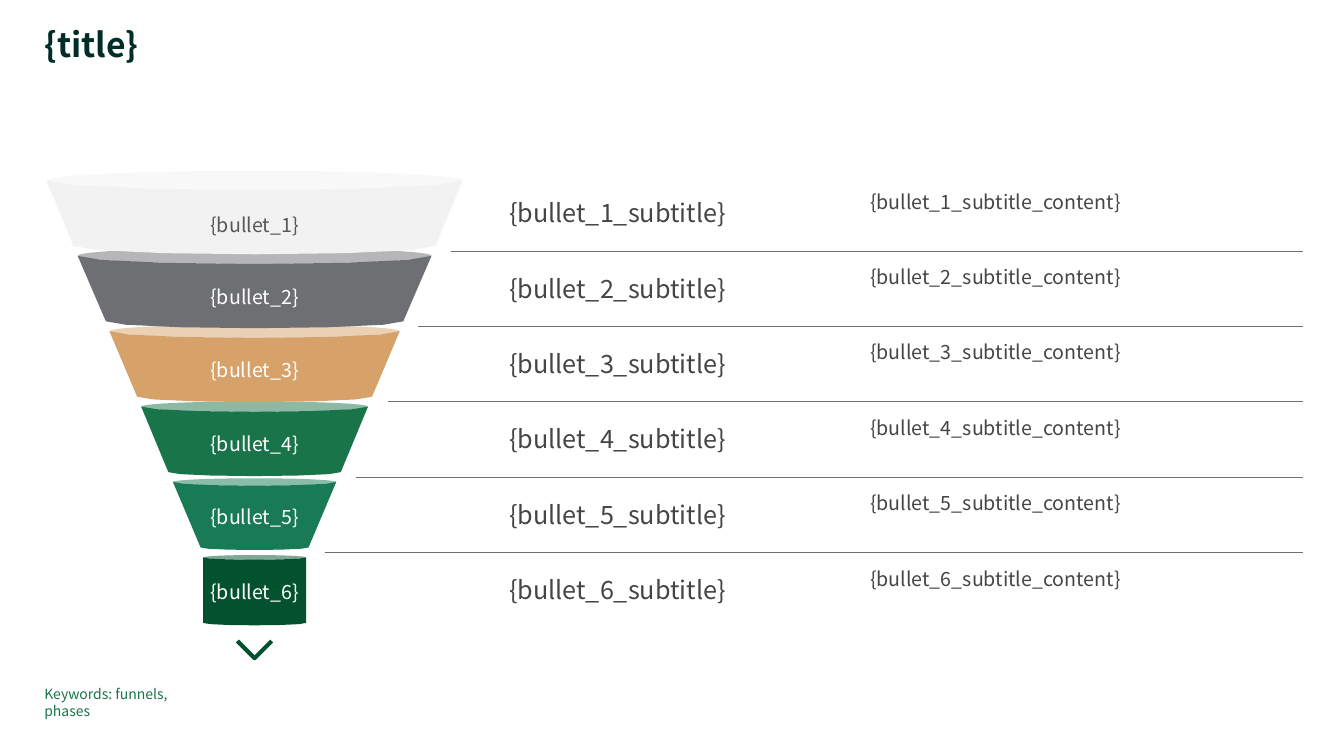
import math

from pptx import Presentation
from pptx import util as u
from pptx.dml.color import RGBColor
from pptx.enum import shapes, text
from pptx.oxml.ns import qn
from lxml import etree

PX = u.Inches(1) // 100
FONT = "Noto Sans CJK JP"
COLORS = {
    "title": "002D28", "body": "454545", "muted": "575757", "white": "FFFFFF",
    "rule": "6E6F73", "note": "1A7449", "arrow": "03522D",
}
ROW_PITCH = 74.8
RIM_RATIO = 0.023  # half the rim height, per unit of width
LAYER_HEIGHT = 65

# Per layer: top width, bottom width, label top, fill, label colour
LAYERS = [
    (413, 359, 32, "F2F2F2", "muted"),
    (351, 295, 103, "6E6F73", "white"),
    (288, 233, 176, "D6A26A", "white"),
    (225, 171, 249, "1A7449", "white"),
    (162, 107, 322, "197A56", "white"),
    (102, 102, 396, "03522D", "white"),
]
RULE_STARTS = [447, 415, 385, 353, 322]


def px(length):
    return int(length * PX)


def rgb(name):
    return RGBColor.from_string(COLORS.get(name, name))


def row_offset(index):
    return ROW_PITCH * index


def add_text(slide, box, words, size, color, bold=False, middle=False, center=False, spacing=None):
    shape = slide.shapes.add_textbox(*map(px, box))
    frame = shape.text_frame
    frame.word_wrap = True
    frame.margin_left = frame.margin_right = frame.margin_top = frame.margin_bottom = 0
    frame.vertical_anchor = text.MSO_ANCHOR.MIDDLE if middle else text.MSO_ANCHOR.TOP
    paragraph = frame.paragraphs[0]
    paragraph.alignment = text.PP_ALIGN.CENTER if center else text.PP_ALIGN.LEFT
    if spacing:
        paragraph.line_spacing = spacing
    run = paragraph.add_run()
    run.text = words
    run.font.name = FONT
    run.font.size = u.Pt(size)
    run.font.bold = bold
    run.font.color.rgb = rgb(color)


def paint(shape, color, alpha=None):
    shape.shadow.inherit = False
    shape.line.fill.background()
    shape.fill.solid()
    shape.fill.fore_color.rgb = rgb(color)
    if alpha:
        value = shape.fill._xPr.find(qn("a:solidFill"))[0]
        etree.SubElement(value, qn("a:alpha"), val=str(alpha * 1000))


def lower_arc(center_x, y, width, steps=6):
    """Points of the lower half of an ellipse, from right to left."""
    angles = [math.pi * step / steps for step in range(steps + 1)]
    return [(px(center_x + width / 2 * math.cos(angle)),
             px(y + width * RIM_RATIO * math.sin(angle))) for angle in angles]


def add_layer(slide, center_x, y, top_width, bottom_width, color):
    group = slide.shapes.add_group_shape()
    # Side wall between the front of the rim and the curved base
    rim = lower_arc(center_x, y, top_width)
    base = lower_arc(center_x, y + LAYER_HEIGHT, bottom_width)
    builder = group.shapes.build_freeform(*rim[0], scale=1.0)
    builder.add_line_segments(base + rim[:0:-1], close=True)
    paint(builder.convert_to_shape(), color)
    # Rim
    half = top_width * RIM_RATIO
    lid = group.shapes.add_shape(
        shapes.MSO_SHAPE.OVAL, px(center_x - top_width / 2), px(y - half),
        px(top_width), px(2 * half))
    paint(lid, color, alpha=50)


def add_funnel(slide, left, top, width):
    center_x = left + width / 2
    # Layers, from the bottom up
    for index, (top_width, bottom_width, _, color, _) in reversed(list(enumerate(LAYERS))):
        add_layer(slide, center_x, top + row_offset(index), top_width, bottom_width, color)
    # Labels
    for number, (_, bottom_width, label_top, _, color) in enumerate(LAYERS, 1):
        box = (center_x - bottom_width / 2, top + label_top, bottom_width, 24)
        add_text(slide, box, f"{{bullet_{number}}}", 14, color, middle=True, center=True)
    # Chevron below the spout
    chevron_top = top + 457
    builder = slide.shapes.build_freeform(px(center_x - 17), px(chevron_top), scale=1.0)
    builder.add_line_segments([(px(center_x), px(chevron_top + 17)),
                               (px(center_x + 17), px(chevron_top))], close=False)
    chevron = builder.convert_to_shape()
    chevron.shadow.inherit = False
    chevron.fill.background()
    chevron.line.color.rgb = rgb("arrow")
    chevron.line.width = u.Pt(3)


def add_details(slide, left, top, width):
    right = left + width
    for index in range(len(LAYERS)):
        y = top + row_offset(index)
        name = f"bullet_{index + 1}_subtitle"
        add_text(slide, (left, y, 314, 62), f"{{{name}}}", 18, "body", middle=True)
        add_text(slide, (left + 358, y + 8, 427, 24), f"{{{name}_content}}", 14, "body")
    # Rules between the rows
    for index, start in enumerate(RULE_STARTS):
        y = px(top + 69 + row_offset(index))
        rule = slide.shapes.add_connector(
            shapes.MSO_CONNECTOR.STRAIGHT, px(start), y, px(right), y)
        rule.line.color.rgb = rgb("rule")
        rule.line.width = u.Pt(0.5)
        etree.SubElement(rule._element.spPr, qn("a:effectLst"))


def main():
    presentation = Presentation()
    presentation.slide_width = px(1333)
    presentation.slide_height = px(750)
    slide = presentation.slides.add_slide(presentation.slide_layouts[6])
    add_text(slide, (44, 28, 1103, 37), "{title}", 24, "title", bold=True, spacing=0.9)
    add_funnel(slide, 46, 179, 413)
    add_details(slide, 505, 180, 787)
    add_text(slide, (44, 680, 167, 17), "Keywords: funnels, phases", 10, "note")
    presentation.save("out.pptx")


if __name__ == "__main__":
    main()
